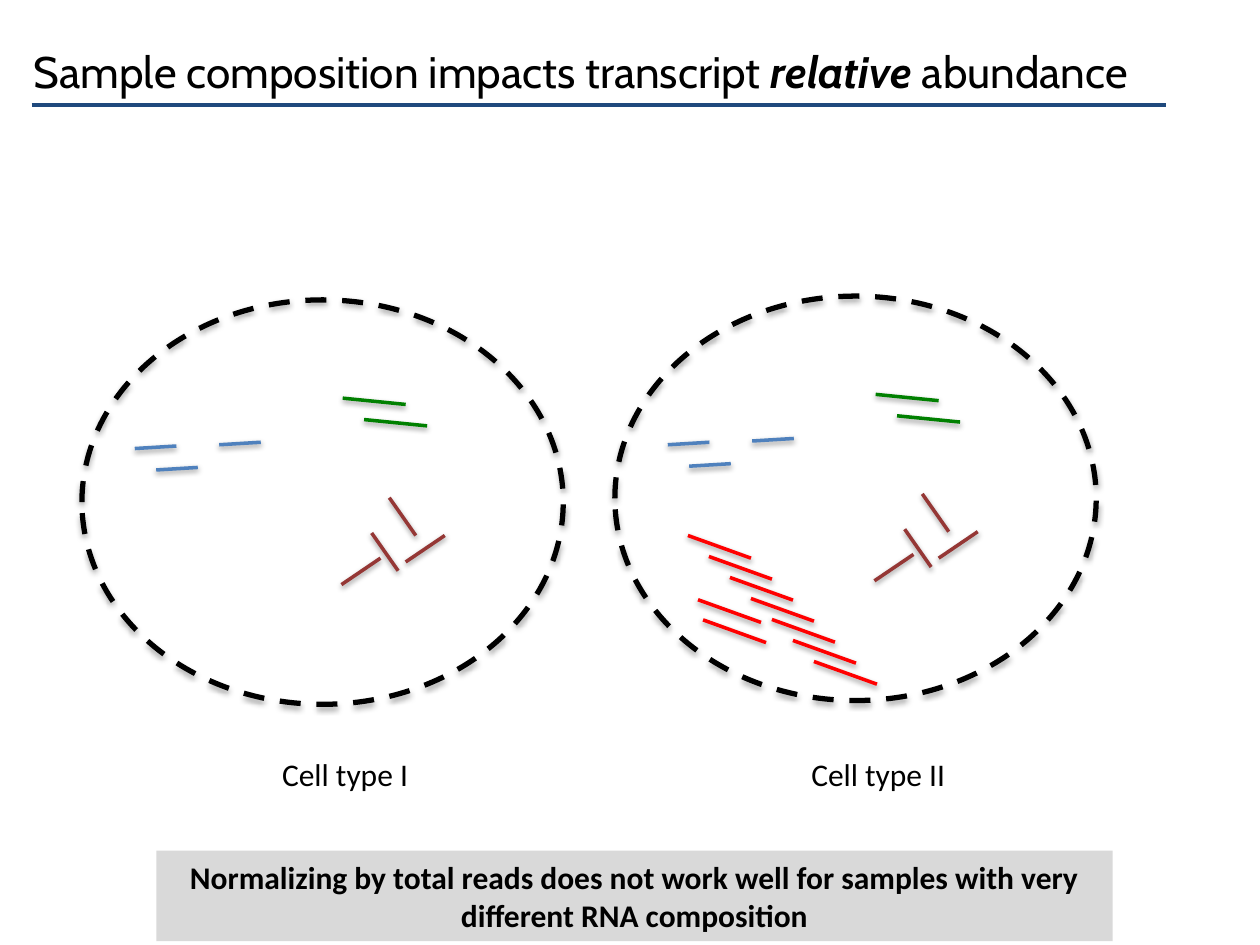
from dataclasses import dataclass

from lxml import etree
from pptx import Presentation
from pptx.dml.color import RGBColor
from pptx.enum.dml import MSO_LINE_DASH_STYLE as DASH
from pptx.enum.shapes import MSO_CONNECTOR as CONN, MSO_SHAPE as SHAPE
from pptx.enum.text import MSO_ANCHOR as ANCHOR, PP_ALIGN as ALIGN
from pptx.oxml import parse_xml
from pptx.oxml.ns import nsdecls, qn
from pptx.util import Inches, Pt


@dataclass(frozen=True)
class Theme:
    title_font: str = "Cabin"
    body_font: str = "Calibri"
    title_size: float = 25.2
    body_size: float = 18
    text: str = "000000"
    rule: str = "1F497D"
    banner: str = "D9D9D9"
    blue: str = "4F81BD"
    maroon: str = "953735"
    green: str = "008000"
    red: str = "FF0000"


class SlideBuilder:
    def __init__(self, slide, theme):
        self.s = slide
        self.theme = theme

    def effects(self, sp, alpha=0, dist=0):
        """Replace the default shadow; an alpha of 0 leaves none."""
        sp_pr = sp._element.spPr
        if not alpha:
            etree.SubElement(sp_pr, qn("a:effectLst"))
            return
        sp_pr.append(parse_xml(
            f'<a:effectLst {nsdecls("a")}>'
            f'<a:outerShdw blurRad="40000" dist="{dist}" dir="5400000" rotWithShape="0">'
            f'<a:srgbClr val="000000"><a:alpha val="{alpha * 1000}"/></a:srgbClr>'
            '</a:outerShdw></a:effectLst>'))

    def line(self, x1, y1, x2, y2, color, width=2, shadow=True):
        c = self.s.shapes.add_connector(
            CONN.STRAIGHT, Inches(x1), Inches(y1), Inches(x2), Inches(y2))
        c.line.color.rgb = RGBColor.from_string(color)
        c.line.width = Pt(width)
        self.effects(c, 38 if shadow else 0, 20000)

    def membrane(self, x, y, w, h):
        sp = self.s.shapes.add_shape(
            SHAPE.OVAL, Inches(x), Inches(y), Inches(w), Inches(h))
        sp.fill.background()
        sp.line.color.rgb = RGBColor.from_string(self.theme.text)
        sp.line.width = Pt(3)
        sp.line.dash_style = DASH.DASH
        self.effects(sp, 35, 23000)

    def add_runs(self, p, runs, font, size, bold=None):
        for text, emphasis in runs:
            r = p.add_run()
            r.text = text
            if emphasis:
                r.font.bold = r.font.italic = True
        p.font.name = font
        p.font.size = Pt(size)
        p.font.bold = bold
        p.font.color.rgb = RGBColor.from_string(self.theme.text)

    def title(self, x, y, w, h, runs):
        tf = self.s.shapes.add_textbox(
            Inches(x), Inches(y), Inches(w), Inches(h)).text_frame
        tf.word_wrap = True
        tf.vertical_anchor = ANCHOR.MIDDLE
        self.add_runs(tf.paragraphs[0], runs, self.theme.title_font, self.theme.title_size)

    def label(self, x, y, w, h, text):
        tf = self.s.shapes.add_textbox(
            Inches(x), Inches(y), Inches(w), Inches(h)).text_frame
        tf.word_wrap = False
        self.add_runs(tf.paragraphs[0], [(text, False)],
                      self.theme.body_font, self.theme.body_size)

    def banner(self, x, y, w, h, text):
        sp = self.s.shapes.add_shape(
            SHAPE.RECTANGLE, Inches(x), Inches(y), Inches(w), Inches(h))
        sp.fill.solid()
        sp.fill.fore_color.rgb = RGBColor.from_string(self.theme.banner)
        sp.line.fill.background()
        sp.shadow.inherit = False
        tf = sp.text_frame
        tf.word_wrap = True
        p = tf.paragraphs[0]
        p.alignment = ALIGN.CENTER
        self.add_runs(p, [(text, False)], self.theme.body_font, self.theme.body_size, True)

    def transcripts(self, x, y, starts, dx, dy, color):
        """Draw parallel strands, placed relative to a cell's corner."""
        for sx, sy in starts:
            self.line(x + sx, y + sy, x + sx + dx, y + sy + dy, color)

    def cell(self, x, y):
        t = self.theme
        self.membrane(x, y, 3.82, 3.21)
        self.transcripts(x, y, [(0.42, 1.18), (0.59, 1.35), (1.09, 1.15)], 0.33, -0.02, t.blue)
        self.transcripts(x, y, [(2.3, 1.85), (2.44, 1.57)], 0.21, 0.3, t.maroon)
        self.transcripts(x, y, [(2.88, 1.87), (2.37, 2.05)], -0.31, 0.21, t.maroon)
        self.transcripts(x, y, [(2.07, 0.78), (2.24, 0.95)], 0.5, 0.05, t.green)


def main():
    prs = Presentation()
    prs.slide_width, prs.slide_height = Inches(10), Inches(7.5)
    theme = Theme()
    b = SlideBuilder(prs.slides.add_slide(prs.slide_layouts[6]), theme)

    # Title and rule
    b.line(0.25, 0.83, 9.25, 0.83, theme.rule, 2.25, shadow=False)
    b.title(0.17, 0.25, 9, 0.62, [("Sample composition impacts transcript ", False),
                                  ("relative", True), (" abundance", False)])

    # Two cells with the same shared transcripts
    cells = [(0.65, 2.38), (4.88, 2.35)]
    for x, y in cells:
        b.cell(x, y)
    b.label(2.14, 5.94, 1.21, 0.4, "Cell type I")
    b.label(6.34, 5.94, 1.28, 0.4, "Cell type II")

    # Abundant transcript found only in the second cell
    step = 1 / 6
    diagonal = [(0.58 + i * step, 1.9 + i * step) for i in range(7)]
    b.transcripts(*cells[1], diagonal + [(0.7, 2.57), (0.66, 2.41)], 0.5, 0.18, theme.red)

    # Conclusion
    b.banner(1.24, 6.75, 7.59, 0.72,
             "Normalizing by total reads does not work well for samples "
             "with very different RNA composition")

    prs.save("out.pptx")


if __name__ == "__main__":
    main()
